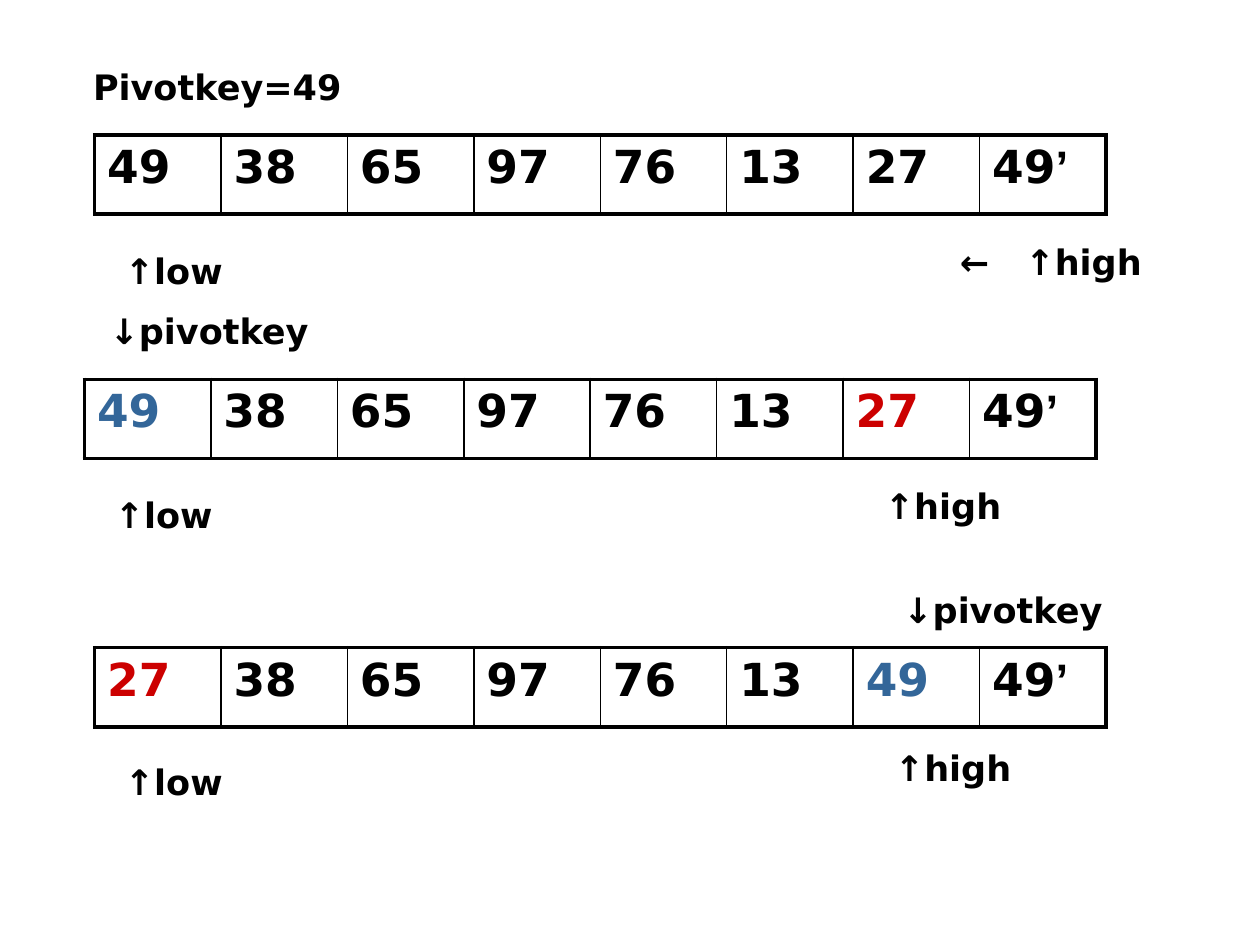
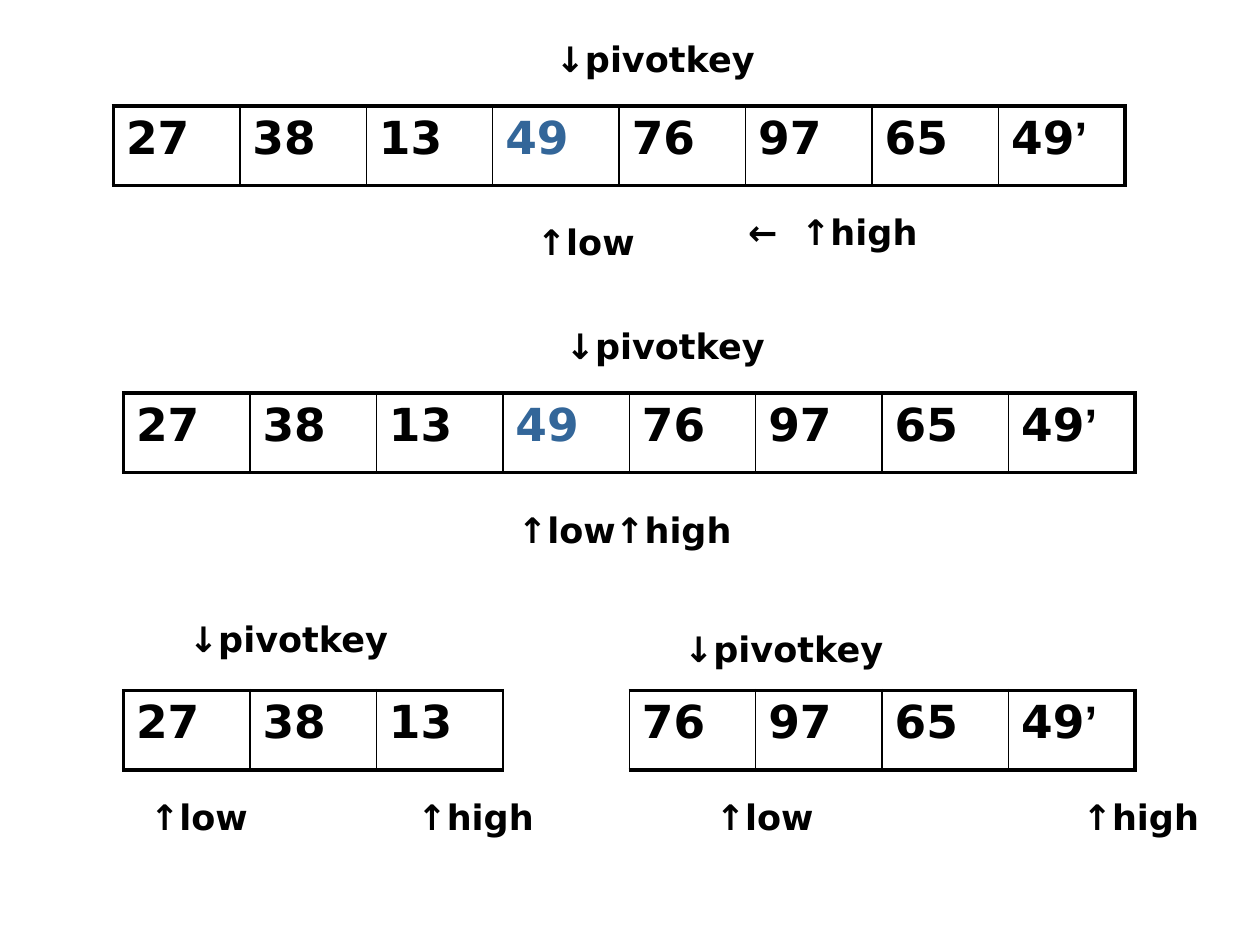
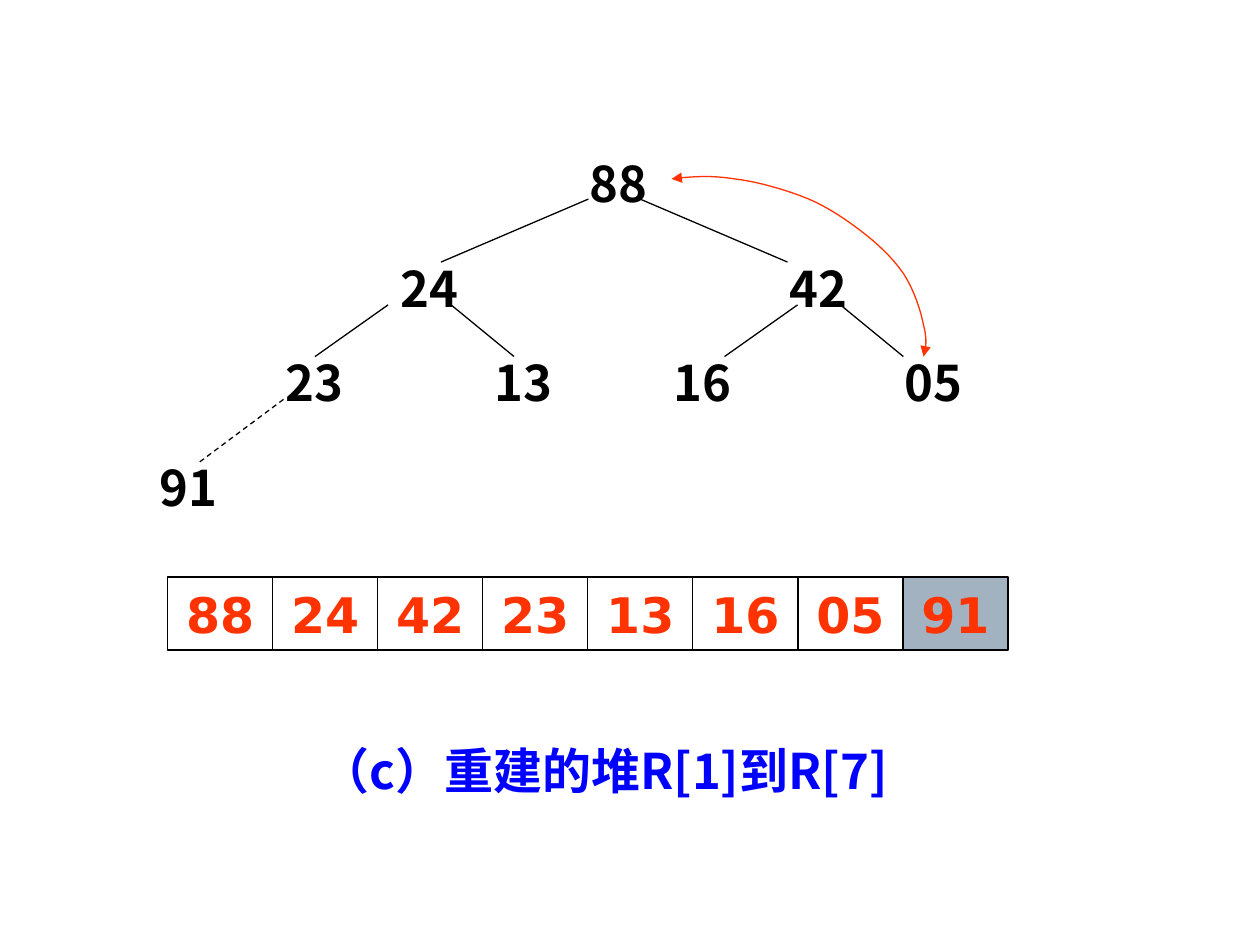
from lxml.etree import SubElement
from pptx import Presentation
from pptx.dml.color import RGBColor
from pptx.enum.dml import MSO_LINE
from pptx.enum.shapes import MSO_CONNECTOR, MSO_SHAPE
from pptx.enum.text import MSO_ANCHOR, MSO_AUTO_SIZE, PP_ALIGN
from pptx.oxml.ns import qn
from pptx.util import Inches, Pt

BLACK = RGBColor(0x00, 0x00, 0x00)
PIVOT = RGBColor(0x33, 0x66, 0x99)
SWAPPED = RGBColor(0xCC, 0x00, 0x00)
HEAP = RGBColor(0xFF, 0x33, 0x00)
CAPTION = RGBColor(0x00, 0x00, 0xFF)
SORTED = RGBColor(0xA3, 0xB2, 0xC1)
SANS, CJK, QUOTE = "DejaVu Sans", "Noto Sans CJK SC", "Arial"

LABEL_W = {"↑low": 1.04, "↑high": 1.17, "↓pivotkey": 1.82, "Pivotkey=49": 2.19}
LABEL_H = 0.43
ARRAY_W, ARRAY_H = 8.03, 0.63
THICK, THIN = 2.25, 1

# Arrays: values, left, top, colours by value. Labels: text, left, top.
# Moving pointers: left, top, distance from the moving arrow to the pointer.
PARTITION_SLIDES = [
    {
        "arrays": [
            ("49 38 65 97 76 13 27 49’", 0.75, 1.07, {}),
            ("49 38 65 97 76 13 27 49’", 0.67, 3.01, {"49": PIVOT, "27": SWAPPED}),
            ("27 38 65 97 76 13 49 49’", 0.75, 5.14, {"49": PIVOT, "27": SWAPPED}),
        ],
        "labels": [
            ("Pivotkey=49", 0.63, 0.47), ("↑low", 0.86, 1.93),
            ("↓pivotkey", 0.75, 2.41), ("↑low", 0.78, 3.87), ("↑high", 6.9, 3.8),
            ("↓pivotkey", 7.05, 4.62), ("↑low", 0.86, 5.99), ("↑high", 6.98, 5.88),
        ],
        "moving": (7.52, 1.86, 0.52),
    },
    {
        "arrays": [
            ("27 38 13 49 76 97 65 49’", 0.9, 0.84, {"49": PIVOT}),
            ("27 38 13 49 76 97 65 49’", 0.98, 3.12, {"49": PIVOT}),
            ("27 38 13 - 76 97 65 49’", 0.98, 5.48, {}),
        ],
        "labels": [
            ("↓pivotkey", 4.29, 0.25), ("↑low", 4.13, 1.7),
            ("↓pivotkey", 4.37, 2.53), ("↑low", 3.98, 3.99), ("↑high", 4.76, 3.99),
            ("↓pivotkey", 1.38, 4.85), ("↑low", 1.06, 6.27), ("↑high", 3.19, 6.27),
            ("↓pivotkey", 5.31, 4.93), ("↑low", 5.55, 6.27), ("↑high", 8.47, 6.27),
        ],
        "moving": (5.84, 1.62, 0.42),
    },
]

NODES = [
    ("88", 4.58, 1.17), ("24", 3.08, 2), ("42", 6.17, 2), ("23", 2.17, 2.75),
    ("13", 3.83, 2.75), ("16", 5.25, 2.75), ("05", 7.08, 2.75), ("91", 1.17, 3.58),
]
EDGES = [
    (4.67, 1.58, 3.5, 2.08), (5.08, 1.58, 6.25, 2.08),
    (3.08, 2.42, 2.5, 2.83), (3.58, 2.42, 4.08, 2.83),
    (6.33, 2.42, 5.75, 2.83), (6.67, 2.42, 7.17, 2.83),
]
REMOVED_EDGE = (2.25, 3.17, 1.58, 3.67)
SWAP_START = (7.33, 2.83)
SWAP_CURVES = [
    ((7.35, 2.76), (7.36, 2.69), (7.33, 2.58)),
    ((7.31, 2.47), (7.25, 2.29), (7.17, 2.17)),
    ((7.08, 2.04), (6.96, 1.93), (6.83, 1.83)),
    ((6.71, 1.74), (6.58, 1.65), (6.42, 1.58)),
    ((6.25, 1.51), (6.01, 1.44), (5.83, 1.42)),
    ((5.65, 1.39), (5.49, 1.4), (5.33, 1.42)),
]
HEAP_VALUES = ["88", "24", "42", "23", "13", "16", "05", "91"]
HEAP_LEFT, HEAP_TOP, HEAP_W, HEAP_H = 1.33, 4.58, 6.67, 0.58


def add_run(p, text, size, font=SANS, color=BLACK):
    r = p.add_run()
    r.text = text
    for name, value in {"size": Pt(size), "bold": True, "name": font}.items():
        setattr(r.font, name, value)
    r.font.color.rgb = color
    SubElement(r._r.get_or_add_rPr(), qn("a:ea"), typeface=font)


def add_text(slide, text, box, size=20, font=SANS, color=BLACK,
             align=PP_ALIGN.CENTER, anchor=MSO_ANCHOR.BOTTOM, wrap=False):
    tf = slide.shapes.add_textbox(*map(Inches, box)).text_frame
    settings = {"word_wrap": wrap, "vertical_anchor": anchor,
                "auto_size": MSO_AUTO_SIZE.SHAPE_TO_FIT_TEXT}
    for name, value in settings.items():
        setattr(tf, name, value)
    p = tf.paragraphs[0]
    p.alignment = align
    add_run(p, text, size, font, color)
    return p


def add_moving_pointer(slide, left, top, gap):
    p = add_text(slide, "←\t↑high", (left, top, 1.73, LABEL_H),
                 align=PP_ALIGN.LEFT, wrap=True)
    tabs = SubElement(p._p.get_or_add_pPr(), qn("a:tabLst"))
    SubElement(tabs, qn("a:tab"), pos=str(Inches(gap)), algn="l")


def set_borders(cell, widths):
    """Draw the left, right, top and bottom borders; width 0 means none."""
    tcPr = cell._tc.get_or_add_tcPr()
    for side, width in zip("LRTB", widths):
        ln = SubElement(tcPr, qn(f"a:ln{side}"), w=str(Pt(width)))
        if width:
            fill = SubElement(ln, qn("a:solidFill"))
            SubElement(fill, qn("a:srgbClr"), val=str(BLACK))
        else:
            SubElement(ln, qn("a:noFill"))


def add_array(slide, values, left, top, colors):
    """Draw one row of keys; a dash stands for an open gap."""
    keys = values.split()
    box = map(Inches, (left, top, ARRAY_W, ARRAY_H))
    table = slide.shapes.add_table(1, len(keys), *box).table
    table.first_row = table.horz_banding = False
    for i, key in enumerate(keys):
        cell = table.cell(0, i)
        edge = 0 if key == "-" else THICK
        set_borders(cell, (THIN if i else THICK,
                           THIN if i < len(keys) - 1 else THICK, edge, edge))
        cell.fill.background()
        if key == "-":
            continue
        p = cell.text_frame.paragraphs[0]
        add_run(p, key.rstrip("’"), 26, color=colors.get(key, BLACK))
        if key.endswith("’"):
            add_run(p, "’", 26, QUOTE)


def add_edge(slide, ends, dash=None):
    line = slide.shapes.add_connector(MSO_CONNECTOR.STRAIGHT, *map(Inches, ends))
    line.line.color.rgb = BLACK
    line.line.width = Pt(0.75)
    if dash:
        line.line.dash_style = dash
    SubElement(line._element.spPr, qn("a:effectLst"))


def curve_points(start, curves, steps=8):
    """Sample points along joined cubic Bezier curves."""
    points = [start]
    for c1, c2, end in curves:
        for t in (i / steps for i in range(1, steps + 1)):
            u = 1 - t
            points.append(tuple(
                u**3 * a + 3 * u * u * t * b + 3 * u * t * t * c + t**3 * d
                for a, b, c, d in zip(start, c1, c2, end)))
        start = end
    return points


def add_swap_arrow(slide):
    first, *rest = [(Inches(x), Inches(y))
                    for x, y in curve_points(SWAP_START, SWAP_CURVES)]
    builder = slide.shapes.build_freeform(*first, scale=1.0)
    builder.add_line_segments(rest, close=False)
    sp = builder.convert_to_shape()
    sp.shadow.inherit = False
    sp.fill.background()
    sp.line.color.rgb = HEAP
    sp.line.width = Pt(0.75)
    for end in ("headEnd", "tailEnd"):
        SubElement(sp.line._get_or_add_ln(), qn(f"a:{end}"), type="triangle")


def add_heap_cells(slide):
    width = HEAP_W / len(HEAP_VALUES)
    for i, value in enumerate(HEAP_VALUES):
        box = (HEAP_LEFT + i * width, HEAP_TOP, width, HEAP_H)
        sp = slide.shapes.add_shape(MSO_SHAPE.RECTANGLE, *map(Inches, box))
        sp.shadow.inherit = False
        sp.line.color.rgb = BLACK
        sp.line.width = Pt(0.75)
        if i == len(HEAP_VALUES) - 1:
            sp.fill.solid()
            sp.fill.fore_color.rgb = SORTED
        else:
            sp.fill.background()
        tf = sp.text_frame
        tf.vertical_anchor = MSO_ANCHOR.MIDDLE
        p = tf.paragraphs[0]
        p.alignment = PP_ALIGN.CENTER
        add_run(p, value, 28, color=HEAP)


def build_partition(slide, content):
    for array in content["arrays"]:
        add_array(slide, *array)
    for text, left, top in content["labels"]:
        add_text(slide, text, (left, top, LABEL_W[text], LABEL_H))
    add_moving_pointer(slide, *content["moving"])


def build_heap(slide):
    heap_text = {"size": 28, "font": CJK, "anchor": MSO_ANCHOR.TOP, "wrap": True}
    add_text(slide, "（c）重建的堆R[1]到R[7]", (1.92, 5.83, 5.75, 0.57),
             color=CAPTION, **heap_text)
    for value, left, top in NODES:
        add_text(slide, value, (left, top, 0.67, 0.57),
                 align=PP_ALIGN.LEFT, **heap_text)
    for ends in EDGES:
        add_edge(slide, ends)
    add_edge(slide, REMOVED_EDGE, MSO_LINE.DASH)
    add_heap_cells(slide)
    add_swap_arrow(slide)


def main():
    prs = Presentation()
    prs.slide_width, prs.slide_height = Inches(10), Inches(7.5)
    blank = prs.slide_layouts[6]
    for content in PARTITION_SLIDES:
        build_partition(prs.slides.add_slide(blank), content)
    build_heap(prs.slides.add_slide(blank))
    prs.save("out.pptx")


if __name__ == "__main__":
    main()
